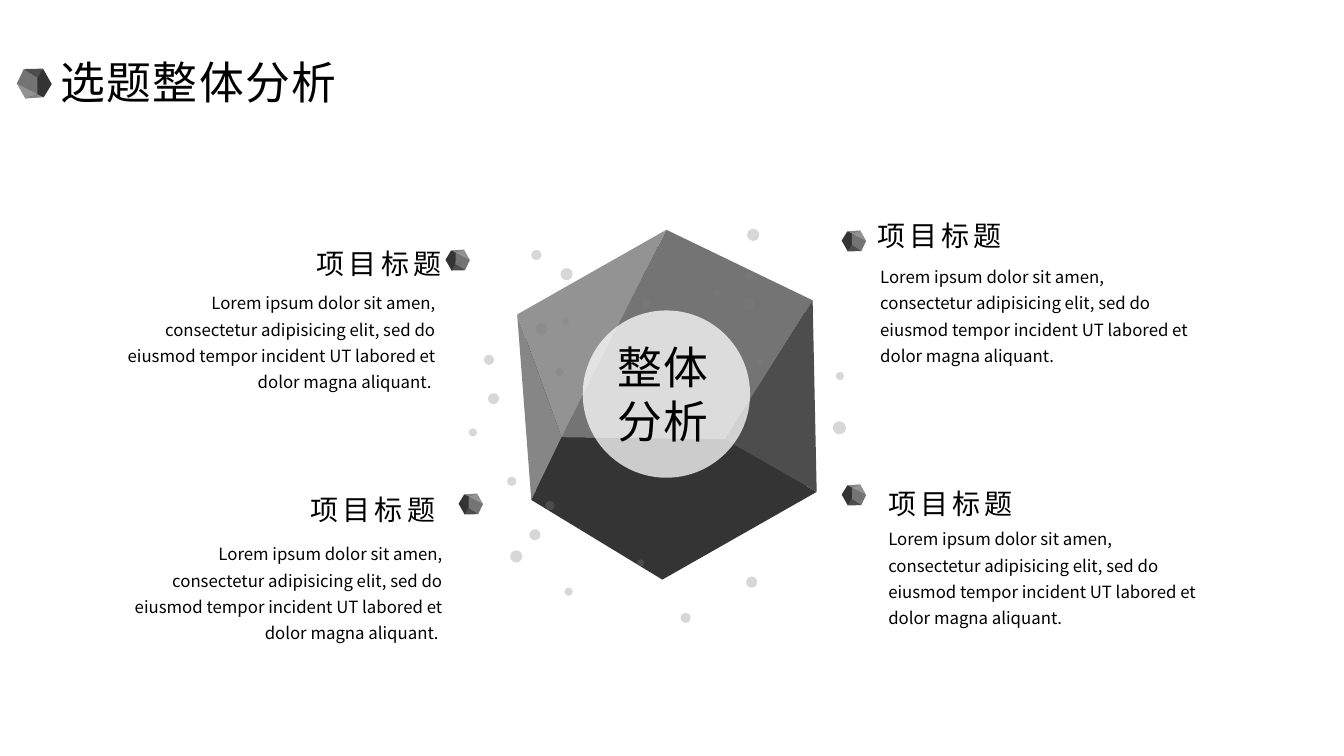
"""Build the topic analysis slide: a faceted gem with four captioned points."""
import dataclasses

import pptx
import pptx.dml.color
import pptx.enum.shapes
import pptx.enum.text
import pptx.oxml
import pptx.oxml.ns
import pptx.util

Inches = pptx.util.Inches
ALIGN = pptx.enum.text.PP_ALIGN
OVAL = pptx.enum.shapes.MSO_SHAPE.OVAL


@dataclasses.dataclass
class Theme:
    ink: str = "000000"
    dot: str = "7F7F7F"
    disc: str = "FFFFFF"
    dot_opacity: int = 31
    disc_opacity: int = 75
    facets: tuple = ("262626", "747474", "939393", "868686", "343434", "4D4D4D")
    heading_font: str = "Noto Sans CJK JP"
    body_font: str = "Noto Sans CJK SC"
    title_size: int = 32
    heading_size: int = 20
    body_size: int = 12


theme = Theme()
deck = pptx.Presentation()
deck.slide_width, deck.slide_height = Inches(13.33), Inches(7.5)
slide = deck.slides.add_slide(deck.slide_layouts[6])


def add_text(text, *, left, top, width, height, size, font, tracking=0,
             align=ALIGN.LEFT, spacing=1.0, right_inset=0.05):
    box = slide.shapes.add_textbox(Inches(left), Inches(top), Inches(width), Inches(height))
    frame = box.text_frame
    frame.word_wrap = True
    frame.margin_left = frame.margin_top = frame.margin_bottom = Inches(0.05)
    frame.margin_right = Inches(right_inset)
    frame.text = text
    for paragraph in frame.paragraphs:
        paragraph.alignment = align
        paragraph.line_spacing = spacing
        for run in paragraph.runs:
            run.font.name = font
            run.font.size = pptx.util.Pt(size)
            run.font.color.rgb = pptx.dml.color.RGBColor.from_string(theme.ink)
            properties = run.font._element
            properties.set("spc", str(tracking * 100))
            east_asian = pptx.oxml.parse_xml(
                f'<a:ea {pptx.oxml.ns.nsdecls("a")} typeface="{font}"/>')
            properties.find(pptx.oxml.ns.qn("a:latin")).addnext(east_asian)


def paint(shape, color, opacity=100):
    shape.shadow.inherit = False
    shape.line.fill.background()
    shape.fill.solid()
    shape.fill.fore_color.rgb = pptx.dml.color.RGBColor.from_string(color)
    if opacity < 100:
        tint = shape.fill._xPr.find(".//" + pptx.oxml.ns.qn("a:srgbClr"))
        tint.append(pptx.oxml.parse_xml(
            f'<a:alpha {pptx.oxml.ns.nsdecls("a")} val="{opacity * 1000}"/>'))


apex, upper_left, lower_left = (6.61, 2.28), (5.13, 3.12), (5.27, 4.96)
base, lower_right, upper_right = (6.57, 5.75), (8.1, 4.88), (8.06, 2.98)
inner_left, inner_right = (5.57, 4.34), (7.19, 4.36)
facets = [
    [(5.29, 4.84), (5.21, 3.14), (6.57, 2.42), (8.01, 3.12), (8, 4.82), (6.61, 5.62)],
    [apex, inner_left, inner_right, upper_right],
    [upper_left, inner_left, apex],
    [upper_left, lower_left, inner_left],
    [lower_left, base, lower_right, inner_right, inner_left],
    [upper_right, lower_right, inner_right],
]
gem_x, gem_y = 6.61, 4.01

dots = [
    (5.58, 3.16, 0.06), (7.51, 3.57, 0.06), (6.32, 5.55, 0.07), (7.08, 2.87, 0.07),
    (5.6, 5.83, 0.08), (8.29, 3.69, 0.08), (7.39, 2.7, 0.08), (5.41, 4.97, 0.09),
    (6.36, 2.97, 0.09), (5.03, 4.73, 0.09), (5.27, 2.48, 0.1), (4.8, 3.52, 0.1),
    (5.25, 5.25, 0.11), (7.4, 5.72, 0.11), (7.37, 2.96, 0.11), (4.84, 3.9, 0.11),
    (7.41, 2.27, 0.12), (5.51, 3.65, 0.08), (5.06, 5.46, 0.12), (8.26, 4.18, 0.13),
    (6.75, 6.08, 0.1), (4.65, 4.25, 0.08), (5.56, 2.66, 0.12), (5.31, 3.2, 0.12),
]
disc = (5.78, 3.08, 1.66)

gems = [
    (gem_x, gem_y, 1, 0),
    (0.34, 0.83, 0.1, -1),
    (4.54, 2.58, 0.07, 1),
    (8.47, 2.39, 0.07, 1),
    (8.47, 4.91, 0.07, 1),
    (4.67, 5.0, 0.07, 1),
]
for center_x, center_y, scale, turn in gems:
    gem = slide.shapes.add_group_shape()
    for corners, color in zip(facets, theme.facets):
        outline = []
        for x, y in corners:
            dx, dy = (x - gem_x) * scale, (y - gem_y) * scale
            if turn:
                dx, dy = -turn * dy, turn * dx
            outline.append((Inches(center_x + dx), Inches(center_y + dy)))
        builder = gem.shapes.build_freeform(*outline[0], scale=1.0)
        builder.add_line_segments(outline[1:], close=True)
        paint(builder.convert_to_shape(), color)

circles = [(*dot, theme.dot, theme.dot_opacity) for dot in dots]
circles.append((*disc, theme.disc, theme.disc_opacity))
for left, top, diameter, color, opacity in circles:
    circle = slide.shapes.add_shape(
        OVAL, Inches(left), Inches(top), Inches(diameter), Inches(diameter))
    paint(circle, color, opacity)

lorem = ("Lorem ipsum dolor sit amen, consectetur adipisicing elit, sed do eiusmod "
         "tempor incident UT labored et dolor magna aliquant.")
points = [
    (3.01, 2.3, ALIGN.RIGHT, 0.23, 1.16, 2.8, 3.21, ALIGN.RIGHT, lorem + " "),
    (3.03, 4.74, ALIGN.LEFT, 0.05, 1.23, 5.29, 3.21, ALIGN.RIGHT, lorem + " "),
    (8.65, 2.02, ALIGN.LEFT, 0.05, 8.68, 2.54, 3.19, ALIGN.LEFT, lorem),
    (8.76, 4.68, ALIGN.LEFT, 0.05, 8.76, 5.14, 3.19, ALIGN.LEFT, lorem),
]
for (heading_left, heading_top, heading_align, heading_inset,
     body_left, body_top, body_width, body_align, body) in points:
    add_text("项目标题", left=heading_left, top=heading_top, width=1.6, height=0.5,
             size=theme.heading_size, font=theme.heading_font, tracking=3,
             align=heading_align, spacing=1.3, right_inset=heading_inset)
    add_text(body, left=body_left, top=body_top, width=body_width, height=1.13,
             size=theme.body_size, font=theme.body_font, align=body_align, spacing=1.3)

add_text("选题整体分析", left=0.55, top=0.49, width=3.85, height=0.64,
         size=theme.title_size, font=theme.body_font, tracking=1)
add_text("整体\n分析", left=6.07, top=3.32, width=1.35, height=1.18,
         size=theme.title_size, font=theme.heading_font, tracking=1)

deck.save("out.pptx")
